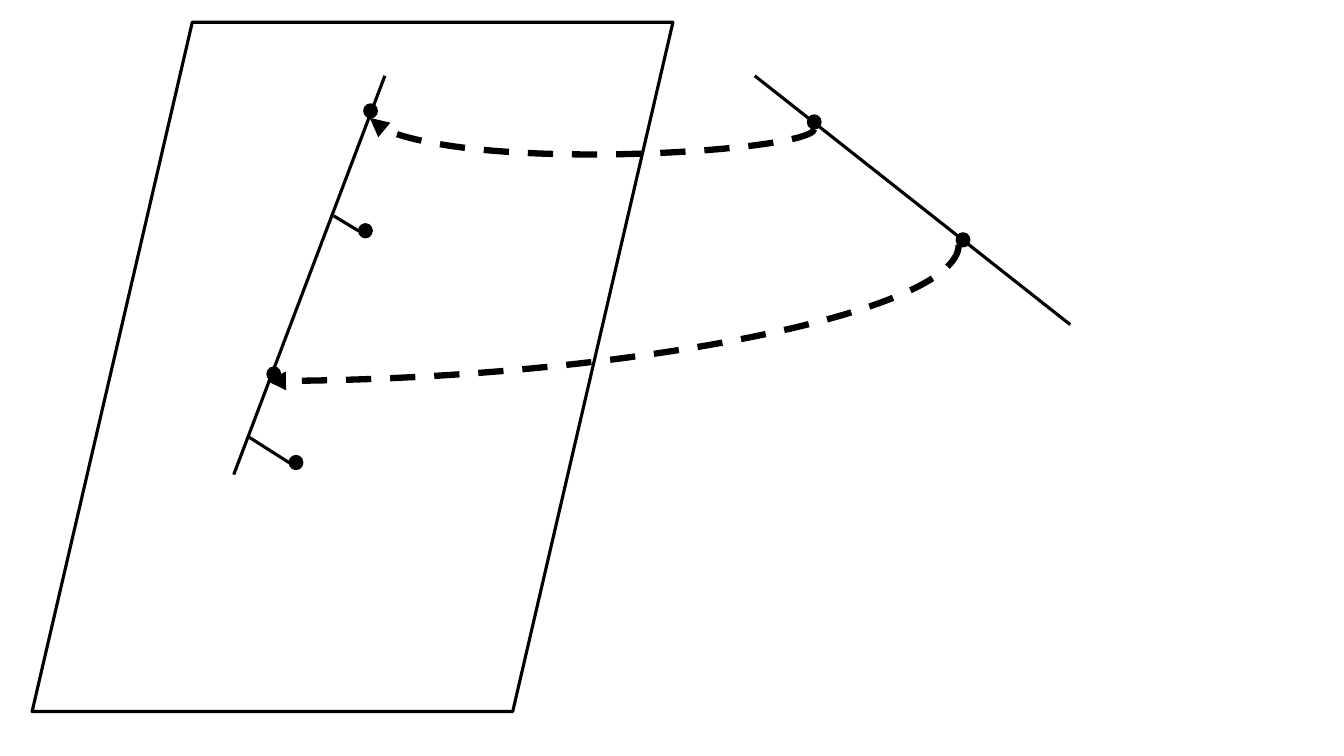
from pptx import Presentation
from pptx.dml.color import RGBColor
from pptx.enum.dml import MSO_LINE
from pptx.enum.shapes import MSO_CONNECTOR, MSO_SHAPE
from pptx.oxml.ns import qn
from pptx.util import Cm, Pt
from lxml.etree import SubElement

# Content: all lengths in centimetres
COLOURS = {"ink": "000000"}
SLIDE_SIZE = (33.87, 19.05)
PLANE = (0.81, 0.56, 16.15, 17.37)
DOT_SIZE = (0.34, 0.35)
STRAIGHT_LINES = [
    ((19.02, 1.91), (26.97, 8.18)),   # line in space
    ((9.7, 1.91), (5.89, 11.96)),     # projected line
    ((9.04, 5.82), (8.41, 5.44)),     # upper offset
    ((7.29, 11.66), (6.25, 11.0)),    # lower offset
]
DOTS = [
    (20.35, 2.9), (24.1, 5.87),       # on the line in space
    (9.17, 2.62), (6.73, 9.25),       # on the projected line
    (9.04, 5.64), (7.29, 11.48),      # beside the projected line
]
PROJECTIONS = [  # start, end, preset, bend
    ((20.52, 3.25), (9.32, 2.97), "curvedConnector3", -229400),
    ((24.16, 6.17), (6.73, 9.6), "curvedConnector2", None),
]


def ink():
    return RGBColor.from_string(COLOURS["ink"])


def add_line(page, kind, start, end, width):
    line = page.shapes.add_connector(kind, *map(Cm, start + end))
    line.line.color.rgb = ink()
    line.line.width = Pt(width)
    SubElement(line._element.spPr, qn("a:effectLst"))
    return line


def add_shape(page, kind, frame, width, filled):
    shape = page.shapes.add_shape(kind, *map(Cm, frame))
    shape.shadow.inherit = False
    if filled:
        shape.fill.solid()
        shape.fill.fore_color.rgb = ink()
    else:
        shape.fill.background()
    shape.line.color.rgb = ink()
    shape.line.width = Pt(width)


def add_projection(page, start, end, preset, bend):
    # A quarter turn swaps width and height about the common centre
    (x1, y1), (x2, y2) = start, end
    width, height = abs(y2 - y1), abs(x2 - x1)
    left = (x1 + x2 - width) / 2
    top = (y1 + y2 - height) / 2
    curve = add_line(page, MSO_CONNECTOR.CURVE, (left, top),
                     (left + width, top + height), 4.5)
    curve.line.dash_style = MSO_LINE.DASH
    properties = curve._element.spPr
    frame = properties.find(qn("a:xfrm"))
    frame.set("rot", str(90 * 60000))
    if y2 < y1:
        frame.set("flipH", "1")
    geometry = properties.find(qn("a:prstGeom"))
    geometry.set("prst", preset)
    if bend is not None:
        guides = geometry.find(qn("a:avLst"))
        SubElement(guides, qn("a:gd"), name="adj1", fmla=f"val {bend}")
    SubElement(properties.find(qn("a:ln")), qn("a:tailEnd"), type="triangle")


def main():
    deck = Presentation()
    deck.slide_width, deck.slide_height = map(Cm, SLIDE_SIZE)
    page = deck.slides.add_slide(deck.slide_layouts[6])

    # Plane and straight lines
    add_shape(page, MSO_SHAPE.PARALLELOGRAM, PLANE, 2.25, False)
    for start, end in STRAIGHT_LINES:
        add_line(page, MSO_CONNECTOR.STRAIGHT, start, end, 2.25)

    # Points
    for corner in DOTS:
        add_shape(page, MSO_SHAPE.OVAL, corner + DOT_SIZE, 1, True)

    # Dashed projection arrows
    for projection in PROJECTIONS:
        add_projection(page, *projection)

    deck.save("out.pptx")


if __name__ == "__main__":
    main()
